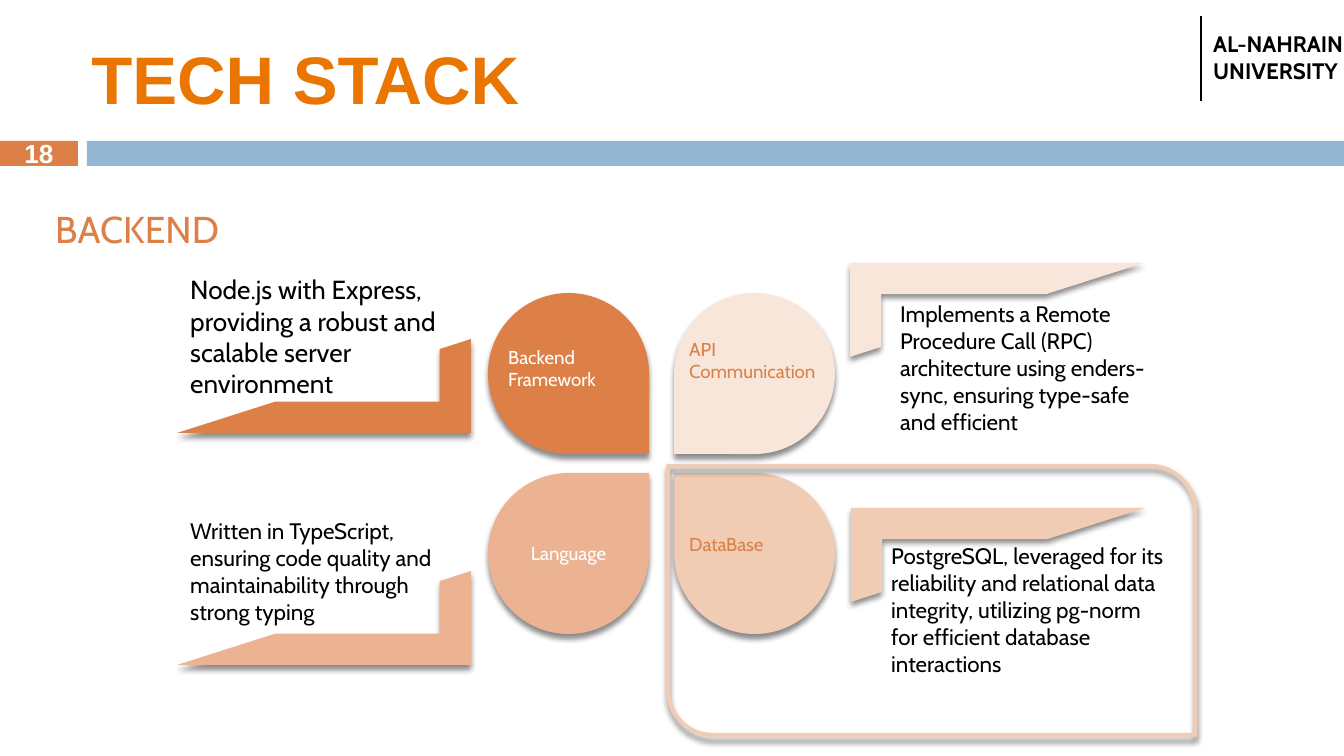
from lxml.etree import SubElement
from pptx import Presentation
from pptx.dml.color import RGBColor
from pptx.enum.shapes import MSO_CONNECTOR, MSO_SHAPE
from pptx.enum.text import MSO_ANCHOR, MSO_AUTO_SIZE, PP_ALIGN
from pptx.oxml.ns import qn
from pptx.util import Pt

SCALE = 914400 / 134.4
ORANGE, BLUE, WHITE, BLACK = "DD8047", "94B6D2", "FFFFFF", "000000"
PALE, PEACH, SALMON = "F8E6DA", "F1CCB5", "EBB391"

DROPS = [
    (488, 293, 90, ORANGE),
    (674, 293, 180, PALE),
    (488, 473, 0, SALMON),
    (674, 473, 270, PEACH),
]
FRAMES = [
    (850, 263, 0, PALE),
    (851, 508, 0, PEACH),
    (177, 571, 180, SALMON),
    (177, 339, 180, ORANGE),
]
NOTES = [
    (495, 339, 172, 58, "Backend Framework", 10, WHITE),
    (676, 331, 176, 58, "API Communication", 10, ORANGE),
    (676, 526, 176, 36, "DataBase", 10, ORANGE),
    (177, 267, 273, 140, "Node.js with Express, providing a robust and "
     "scalable server environment", 14, BLACK),
    (878, 536, 308, 148, "PostgreSQL, leveraged for its reliability and relational "
     "data integrity, utilizing pg-norm for efficient database interactions", 12, BLACK),
    (177, 511, 294, 121, "Written in TypeScript, ensuring code quality and "
     "maintainability through strong typing", 12, BLACK),
    (887, 294, 289, 148, "Implements a Remote Procedure Call (RPC) architecture using "
     "enders-sync, ensuring type-safe and efficient", 12, BLACK),
]


def px(*vals):
    return [round(v * SCALE) for v in vals]


def color(code):
    return RGBColor.from_string(code)


def write(shape, text, size, code, face="Cabin", bold=False,
          align=PP_ALIGN.LEFT, anchor=MSO_ANCHOR.TOP):
    frame = shape.text_frame
    frame.text = text
    frame.word_wrap = True
    frame.auto_size = MSO_AUTO_SIZE.NONE
    frame.vertical_anchor = anchor
    para = frame.paragraphs[0]
    para.alignment = align
    font = para.runs[0].font
    font.name, font.size, font.bold = face, Pt(size), bold
    font.color.rgb = color(code)


def add_text(slide, box, text, size, code, **style):
    write(slide.shapes.add_textbox(*px(*box)), text, size, code, **style)


def add_block(slide, kind, box, fill=None, line=None, turn=0):
    shape = slide.shapes.add_shape(kind, *px(*box))
    shape.rotation = turn
    shape.shadow.inherit = False
    if fill:
        shape.fill.solid()
        shape.fill.fore_color.rgb = color(fill)
    else:
        shape.fill.background()
    if line:
        shape.line.color.rgb = color(line)
        shape.line.width = Pt(2.25)
    else:
        shape.line.fill.background()
    return shape


def add_shade(shape):
    effects = shape._element.spPr.find(qn("a:effectLst"))
    shade = SubElement(effects, qn("a:outerShdw"), blurRad=str(Pt(3)),
                       dist=str(Pt(2.4)), dir="5400000", rotWithShape="0")
    tint = SubElement(shade, qn("a:srgbClr"), val=BLACK)
    SubElement(tint, qn("a:alpha"), val="45000")


def add_rule(slide, ends):
    rule = slide.shapes.add_connector(MSO_CONNECTOR.STRAIGHT, *px(*ends))
    rule.line.color.rgb = color(BLACK)
    rule.line.width = Pt(1.5)
    SubElement(rule._element.spPr, qn("a:effectLst"))


def add_title(slide, box, text):
    title = slide.shapes.title
    title.left, title.top, title.width, title.height = px(*box)
    write(title, text, 36, "EA7500", face="Arial", bold=True,
          anchor=MSO_ANCHOR.MIDDLE)


def add_header(slide):
    add_block(slide, MSO_SHAPE.RECTANGLE, (0, 141, 78, 25), ORANGE)
    add_block(slide, MSO_SHAPE.RECTANGLE, (87, 141, 1257, 25), BLUE)
    add_text(slide, (1200, 24, 187, 67), "AL-NAHRAIN UNIVERSITY", 12, BLACK,
             bold=True, align=PP_ALIGN.JUSTIFY)
    add_rule(slide, (1201, 16, 1201, 101))
    add_title(slide, (78, 30, 1017, 95), "TECH STACK")
    add_text(slide, (0, 140, 78, 27), "18", 14, WHITE, face="Arial", bold=True,
             align=PP_ALIGN.CENTER, anchor=MSO_ANCHOR.MIDDLE)


def add_stack(slide):
    for left, top, turn, fill in DROPS:
        drop = add_block(slide, MSO_SHAPE.TEAR, (left, top, 161, 161), fill, turn=turn)
        add_shade(drop)
        if fill == SALMON:
            write(drop, "Language", 10, WHITE, align=PP_ALIGN.CENTER,
                  anchor=MSO_ANCHOR.MIDDLE)
    for left, top, turn, fill in FRAMES:
        add_shade(add_block(slide, MSO_SHAPE.HALF_FRAME, (left, top, 294, 94),
                            fill, turn=turn))
    for *box, text, size, code in NOTES:
        add_text(slide, box, text, size, code)
    add_shade(add_block(slide, MSO_SHAPE.ROUND_2_DIAG_RECTANGLE,
                        (797, 337, 269, 527), line=PEACH, turn=90))
    add_text(slide, (42, 200, 284, 58), "BACKEND", 20, ORANGE)


def main():
    deck = Presentation()
    deck.slide_width, deck.slide_height = px(1344, 756)
    slide = deck.slides.add_slide(deck.slide_layouts[5])
    add_header(slide)
    add_stack(slide)
    deck.save("out.pptx")


if __name__ == "__main__":
    main()
